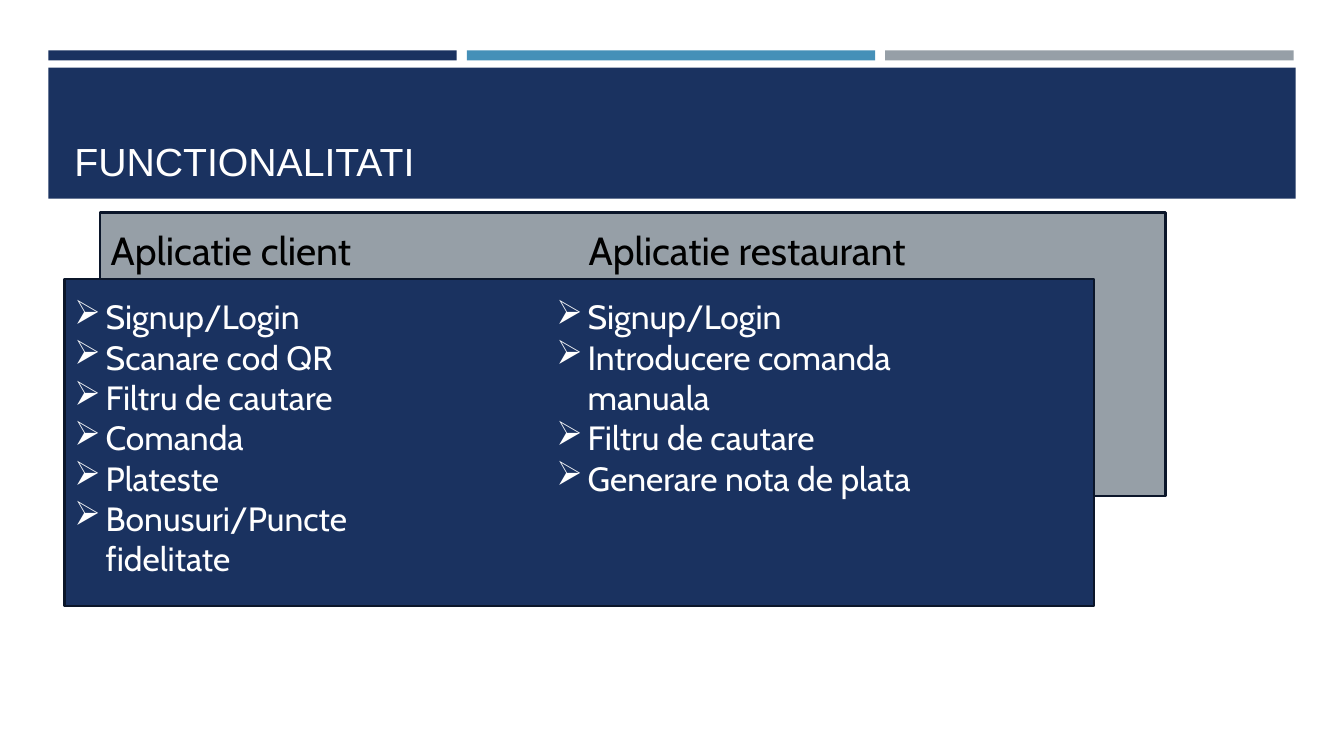
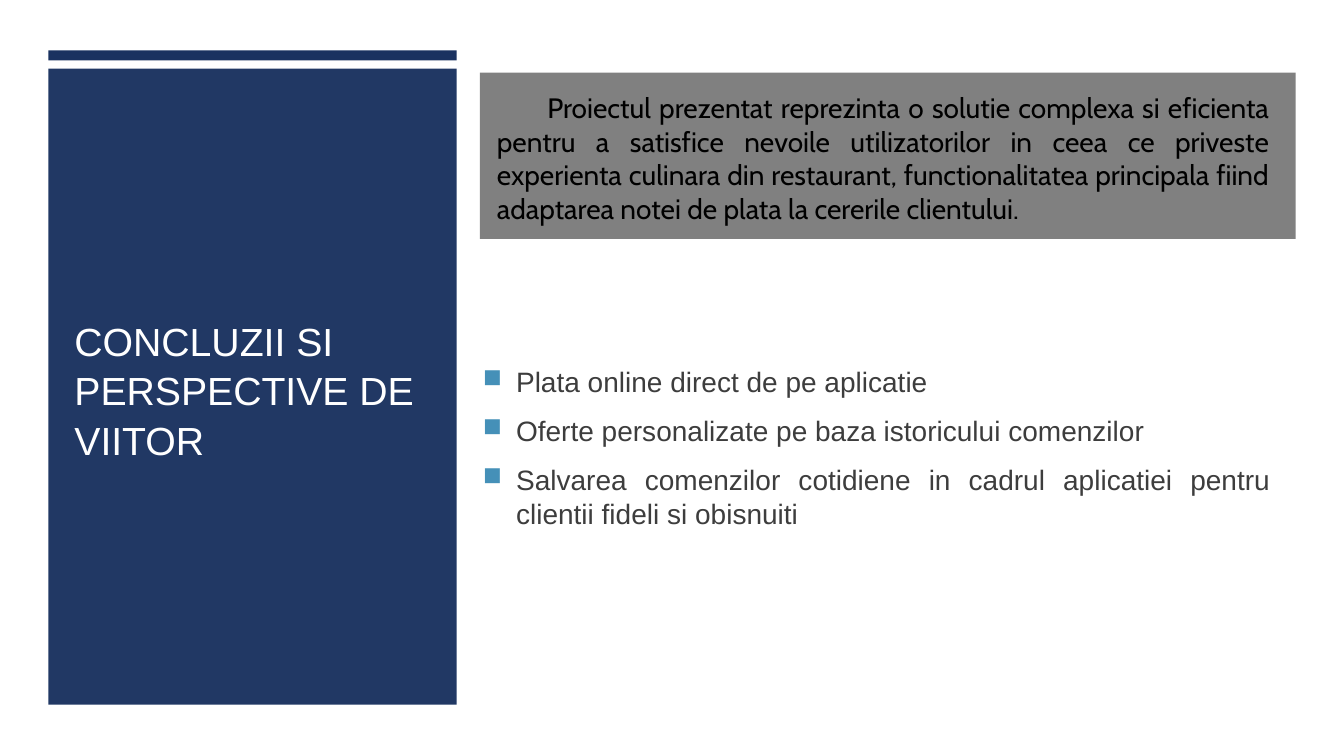
from lxml.etree import SubElement
from pptx import Presentation
from pptx.dml.color import RGBColor
from pptx.enum.shapes import MSO_SHAPE
from pptx.enum.text import MSO_ANCHOR, PP_ALIGN
from pptx.oxml.ns import qn
from pptx.util import Inches, Pt

NAVY = RGBColor(0x1A, 0x32, 0x60)
BLUE = RGBColor(0x45, 0x90, 0xB8)
SILVER = RGBColor(0x96, 0x9F, 0xA7)
GREY = RGBColor(0x80, 0x80, 0x80)
EDGE = RGBColor(0x0B, 0x16, 0x2A)
INK = RGBColor(0x3D, 0x3D, 0x3D)
BLACK = RGBColor(0, 0, 0)
WHITE = RGBColor(0xFF, 0xFF, 0xFF)

SANS = "Arial"
CABIN = "Cabin"
EDGE_LEFT = 0.48
BAR_WIDTH = 4.05
BAR_GAP = 0.1

CLIENT = ["Signup/Login", "Scanare cod QR", "Filtru de cautare", "Comanda",
          "Plateste", "Bonusuri/Puncte fidelitate"]
DINER = ["Signup/Login", "Introducere comanda manuala", "Filtru de cautare",
         "Generare nota de plata"]
PLANS = ["Plata online direct de pe aplicatie",
         "Oferte personalizate pe baza istoricului comenzilor",
         "Salvarea comenzilor cotidiene in cadrul aplicatiei pentru "
         "clientii fideli si obisnuiti"]
SUMMARY = ("Proiectul prezentat reprezinta o solutie complexa si eficienta "
           "pentru a satisfice nevoile utilizatorilor in ceea ce priveste "
           "experienta culinara din restaurant, functionalitatea principala "
           "fiind adaptarea notei de plata la cererile clientului.")


def add_box(slide, left, top, width, height, fill, edge=None, alpha=None):
    """Add a plain rectangle; alpha is its opacity in percent."""
    box = slide.shapes.add_shape(MSO_SHAPE.RECTANGLE, Inches(left), Inches(top),
                                 Inches(width), Inches(height))
    box.shadow.inherit = False
    box.fill.solid()
    box.fill.fore_color.rgb = fill
    if edge is None:
        box.line.fill.background()
    else:
        box.line.color.rgb = edge
        box.line.width = Pt(1.75)
    if alpha is not None:
        color = box.fill._xPr.find(".//" + qn("a:srgbClr"))
        SubElement(color, qn("a:alpha"), val=str(alpha * 1000))


def add_text(slide, left, top, width, height, lines, size, color, font,
             anchor=MSO_ANCHOR.TOP, align=PP_ALIGN.LEFT):
    """Add a text box with one paragraph a line and return the paragraphs."""
    frame = slide.shapes.add_textbox(Inches(left), Inches(top), Inches(width),
                                     Inches(height)).text_frame
    frame.word_wrap = True
    frame.vertical_anchor = anchor
    for i, line in enumerate(lines):
        para = frame.add_paragraph() if i else frame.paragraphs[0]
        para.alignment = align
        run = para.add_run()
        run.text = line
        run.font.size = Pt(size)
        run.font.name = font
        run.font.color.rgb = color
    return frame.paragraphs


def indent(para, margin, first):
    props = para._p.get_or_add_pPr()
    props.set("marL", str(Inches(margin)))
    props.set("indent", str(Inches(first)))
    return props


def add_bullet(para, sign, hang, color=None, scale=None):
    props = indent(para, hang, -hang)
    if color is not None:
        SubElement(SubElement(props, qn("a:buClr")), qn("a:srgbClr"),
                   val=str(color))
    if scale is not None:
        SubElement(props, qn("a:buSzPct"), val=str(scale * 1000))
    SubElement(props, qn("a:buChar"), char=sign)


def add_bars(slide, colors):
    for i, color in enumerate(colors):
        add_box(slide, EDGE_LEFT + i * (BAR_WIDTH + BAR_GAP), 0.5,
                BAR_WIDTH, 0.1, color)


def add_title(slide, top, width, height, text, anchor):
    para, = add_text(slide, 0.64, top, width, height, [text], 28, WHITE, SANS,
                     anchor)
    para.line_spacing = 1.05


def add_column(slide, head_left, list_left, width, head, items):
    add_text(slide, head_left, 2.2, 3.74, 0.57, [head], 28, BLACK, CABIN)
    for para in add_text(slide, list_left, 2.89, width, 2.93, items, 24, WHITE,
                         CABIN):
        add_bullet(para, "➢", 0.31)


def build_features(slide):
    add_bars(slide, [NAVY, BLUE, SILVER])
    add_box(slide, EDGE_LEFT, 0.67, 12.37, 1.3, NAVY)
    add_title(slide, 0.77, 12.06, 1.11, "FUNCTIONALITATI", MSO_ANCHOR.BOTTOM)
    add_box(slide, 0.99, 2.11, 10.57, 2.81, SILVER, EDGE)
    add_box(slide, 0.64, 2.77, 10.21, 3.24, NAVY, EDGE)
    add_column(slide, 1, 0.64, 3.52, "Aplicatie client", CLIENT)
    add_column(slide, 5.74, 5.42, 4.78, "Aplicatie restaurant", DINER)


def build_outlook(slide):
    add_bars(slide, [NAVY])
    add_box(slide, EDGE_LEFT, 0.68, BAR_WIDTH, 6.31, NAVY, alpha=97)
    add_title(slide, 1.1, 3.73, 5.52, "CONCLUZII SI PERSPECTIVE DE VIITOR",
              MSO_ANCHOR.MIDDLE)
    for para in add_text(slide, 4.69, 2.92, 8.01, 3.03, PLANS, 20, INK, SANS,
                         MSO_ANCHOR.MIDDLE, PP_ALIGN.JUSTIFY):
        para.space_before = Pt(5)
        para.space_after = Pt(6)
        add_bullet(para, "■", 0.33, BLUE, 92)
    add_box(slide, 4.76, 0.72, 8.09, 1.65, GREY)
    para, = add_text(slide, 4.83, 0.85, 7.86, 1.45, [SUMMARY], 20, BLACK,
                     CABIN, align=PP_ALIGN.JUSTIFY)
    indent(para, 0, 0.5)


def main():
    deck = Presentation()
    deck.slide_width = Inches(13.33)
    deck.slide_height = Inches(7.5)
    for build in (build_features, build_outlook):
        build(deck.slides.add_slide(deck.slide_layouts[6]))
    deck.save("out.pptx")


if __name__ == "__main__":
    main()
